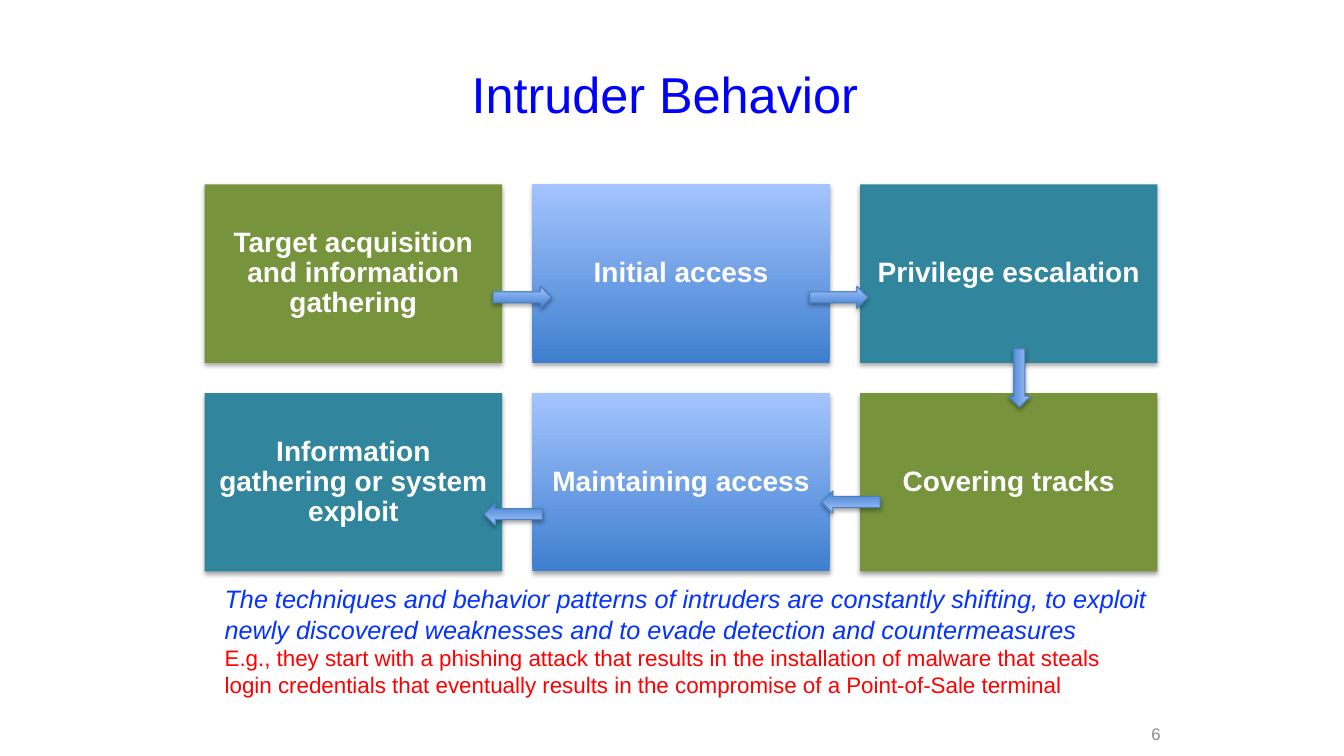
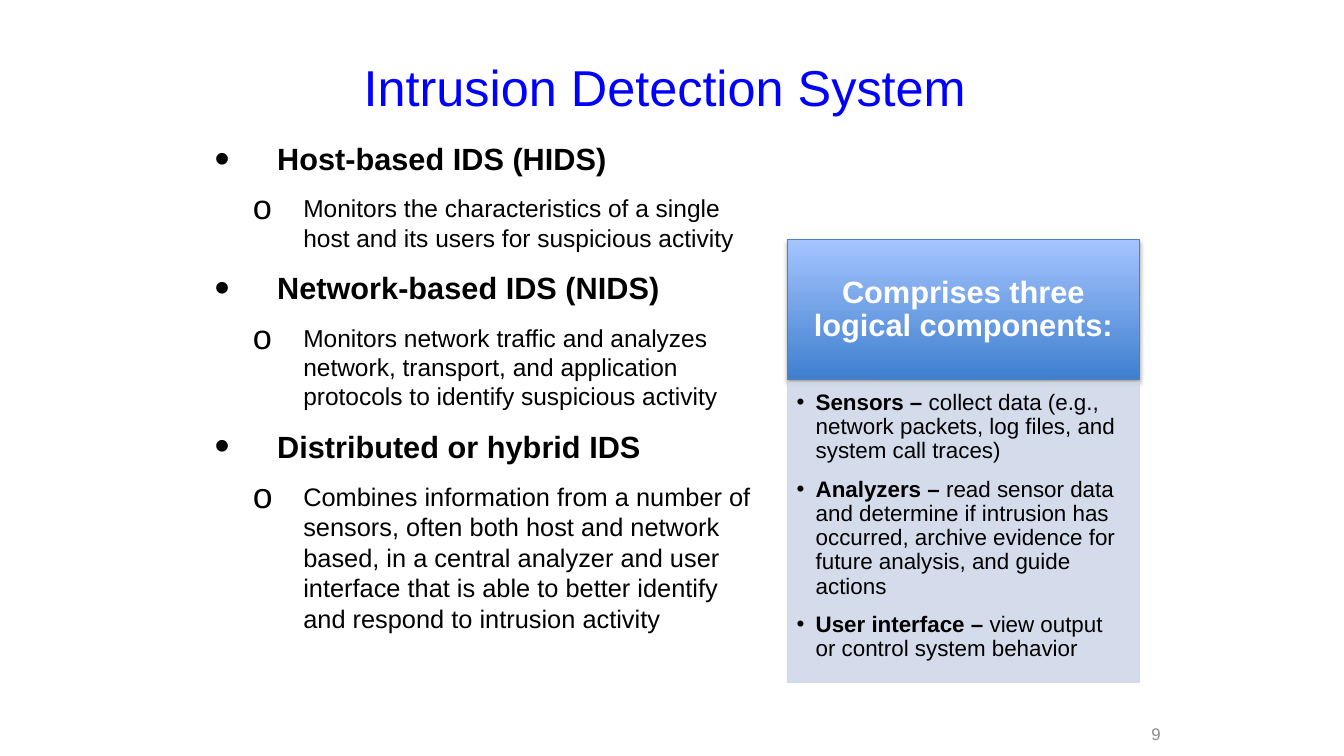
from dataclasses import dataclass

from lxml import etree
from pptx import Presentation
from pptx.dml.color import RGBColor
from pptx.enum.shapes import MSO_SHAPE
from pptx.enum.text import MSO_ANCHOR, PP_ALIGN
from pptx.oxml.ns import qn
from pptx.util import Inches, Pt

RECT, ARROW = MSO_SHAPE.RECTANGLE, MSO_SHAPE.RIGHT_ARROW
TOP, MIDDLE = MSO_ANCHOR.TOP, MSO_ANCHOR.MIDDLE
LEFT, CENTER, RIGHT = PP_ALIGN.LEFT, PP_ALIGN.CENTER, PP_ALIGN.RIGHT
TITLE_ONLY = 5


@dataclass(frozen=True)
class Theme:
    font: str = "Arial"
    title: str = "0000FF"
    note: str = "0432FF"
    example: str = "FF0000"
    text: str = "000000"
    on_fill: str = "FFFFFF"
    number: str = "8C8C8C"
    green: str = "77933C"
    teal: str = "31859C"
    panel: str = "D0D8E8"
    panel_line: str = "4F81BD"
    arrow_line: str = "4B7EBC"
    blend: tuple = ("3F7FCE", "A4C4FF")
    title_size: float = 36
    heading_size: float = 22
    topic_size: float = 21.9
    step_size: float = 20
    note_size: float = 18
    detail_size: float = 17.5
    last_detail_size: float = 18.1
    small_size: float = 16
    number_size: float = 12


THEME = Theme()


def apply(target, values):
    for name, value in values.items():
        setattr(target, name, value)


def add_xml(parent, tag, **attributes):
    return etree.SubElement(parent, qn(tag), attributes)


class Deck:
    def __init__(self, theme):
        self.theme = theme
        self.prs = Presentation()
        self.prs.slide_width, self.prs.slide_height = Inches(13.33), Inches(7.5)
        self.slide = None

    def start_slide(self, title, number, title_height):
        t = self.theme
        self.slide = self.prs.slides.add_slide(self.prs.slide_layouts[TITLE_ONLY])
        heading = self.slide.shapes.title
        apply(heading, {"left": Inches(2.03), "top": Inches(0.3),
                        "width": Inches(9.13), "height": Inches(title_height)})
        frame = self.frame(heading)
        self.paragraph(frame, [self.run(title, t.title_size, t.title)], alignment=CENTER)
        frame = self.text_box(10.93, 7.2, 0.68, 0.15, MIDDLE)
        self.paragraph(frame, [self.run(number, t.number_size, t.number)], alignment=RIGHT)

    def frame(self, shape, anchor=MIDDLE, margins=(0.1, 0.05, 0.1, 0.05)):
        """Prepare a shape's text frame; margins run left, top, right, bottom."""
        frame = shape.text_frame
        sides = ("margin_left", "margin_top", "margin_right", "margin_bottom")
        apply(frame, {"word_wrap": True, "vertical_anchor": anchor,
                      **dict(zip(sides, map(Inches, margins)))})
        return frame

    def text_box(self, left, top, width, height, anchor=TOP):
        box = self.slide.shapes.add_textbox(*map(Inches, (left, top, width, height)))
        return self.frame(box, anchor)

    def run(self, text, size, color, bold=False, italic=False):
        """Pair a text with its colour and font settings."""
        return text, color, {"name": self.theme.font, "size": Pt(size),
                             "bold": bold, "italic": italic}

    def paragraph(self, frame, runs, bullet=None, **layout):
        """Fill the empty first paragraph, or append another one."""
        first = frame.paragraphs[0]
        para = frame.add_paragraph() if first.runs else first
        apply(para, {"alignment": LEFT, "space_before": Pt(0),
                     "space_after": Pt(0), **layout})
        for text, color, font in runs:
            piece = para.add_run()
            piece.text = text
            apply(piece.font, font)
            piece.font.color.rgb = RGBColor.from_string(color)
        if bullet:
            self.bullet(para, *bullet)

    def bullet(self, para, char, indent, hanging, percent):
        props = para._p.get_or_add_pPr()
        props.set("marL", str(Inches(indent)))
        props.set("indent", str(-Inches(hanging)))
        add_xml(add_xml(props, "a:buClr"), "a:srgbClr", val=self.theme.text)
        add_xml(props, "a:buSzPct", val=str(percent * 1000))
        add_xml(props, "a:buFont", typeface=self.theme.font)
        add_xml(props, "a:buChar", char=char)

    def block(self, kind, at, fill, line=None, shadow=True):
        """Draw a preset shape; a tuple as fill blends from bottom to top."""
        shape = self.slide.shapes.add_shape(kind, *map(Inches, at))
        if isinstance(fill, tuple):
            shape.fill.gradient()
            shape.fill.gradient_angle = 90
            for stop, color in zip(shape.fill.gradient_stops, fill):
                stop.color.rgb = RGBColor.from_string(color)
        else:
            shape.fill.solid()
            shape.fill.fore_color.rgb = RGBColor.from_string(fill)
        if line:
            shape.line.color.rgb = RGBColor.from_string(line)
            shape.line.width = Pt(0.75)
        else:
            shape.line.fill.background()
        shape.shadow.inherit = False
        if shadow:
            effects = shape._element.spPr.find(qn("a:effectLst"))
            cast = add_xml(effects, "a:outerShdw", blurRad=str(Pt(3.1)),
                           dist=str(Pt(1.8)), dir="5400000", rotWithShape="0")
            shade = add_xml(cast, "a:srgbClr", val="000000")
            add_xml(shade, "a:alpha", val="35000")
        return shape

    def caption(self, shape, text, size, margins):
        """Write bold centred text on a filled shape."""
        frame = self.frame(shape, MIDDLE, margins)
        self.paragraph(frame, [self.run(text, size, self.theme.on_fill, bold=True)],
                       alignment=CENTER, line_spacing=0.9)

    def arrow(self, left, top, rotation):
        t = self.theme
        arrow = self.block(ARROW, (left, top, 0.58, 0.22), t.blend, t.arrow_line)
        arrow.rotation = rotation


def intruder_behavior(deck):
    t = deck.theme
    deck.start_slide("Intruder Behavior", "6", 1.25)
    step_rows = [
        [("Target acquisition and information gathering", t.green),
         ("Initial access", t.blend),
         ("Privilege escalation", t.teal)],
        [("Information gathering or system exploit", t.teal),
         ("Maintaining access", t.blend),
         ("Covering tracks", t.green)],
    ]
    for row, steps in enumerate(step_rows):
        for column, (step, fill) in enumerate(steps):
            at = (2.03 + 3.25 * column, 1.83 + 2.07 * row, 2.95, 1.77)
            deck.caption(deck.block(RECT, at, fill), step, t.step_size, (0.08,) * 4)

    note = deck.text_box(2.13, 5.74, 9.36, 1.25)
    deck.paragraph(note, [deck.run(
        "The techniques and behavior patterns of intruders are constantly shifting, "
        "to exploit newly discovered weaknesses and to evade detection and "
        "countermeasures", t.note_size, t.note, italic=True)])
    deck.paragraph(note, [deck.run(
        "E.g., they start with a phishing attack that results in the installation of "
        "malware that steals login credentials that eventually results in the "
        "compromise of a Point-of-Sale terminal", t.small_size, t.example)])

    for left, top, rotation in [(4.89, 2.84, 0), (8.03, 2.84, 0), (9.82, 3.64, 90),
                                (8.15, 4.87, 180), (4.8, 4.99, 180)]:
        deck.arrow(left, top, rotation)


def intrusion_detection(deck):
    t = deck.theme
    deck.start_slide("Intrusion Detection System", "9", 1.11)
    heading = deck.block(RECT, (7.81, 2.38, 3.49, 1.39), t.blend, t.panel_line)
    deck.caption(heading, "Comprises three logical components:", t.heading_size,
                 (0.17, 0.1, 0.17, 0.1))

    panel = deck.block(RECT, (7.81, 3.79, 3.49, 2.98), t.panel, t.panel, shadow=False)
    for color in panel._element.spPr.iter(qn("a:srgbClr")):
        add_xml(color, "a:alpha", val="90000")
    components = deck.frame(panel, TOP, (0.09, 0.09, 0.12, 0.14))
    for name, role in [
        ("Sensors – ", "collect data (e.g., network packets, log files, and system "
                       "call traces)"),
        ("Analyzers – ", "read sensor data and determine if intrusion has occurred, "
                         "archive evidence for future analysis, and guide actions"),
        ("User interface – ", "view output or control system behavior"),
    ]:
        deck.paragraph(components, [deck.run(name, t.small_size, t.text, bold=True),
                                    deck.run(role, t.small_size, t.text)],
                       bullet=("•", 0.19, 0.19, 100),
                       line_spacing=0.9, space_after=Pt(10.3))

    types = deck.text_box(2.03, 1.3, 5.6, 5.07, MIDDLE)
    for topic, detail, size in [
        ("Host-based IDS (HIDS)",
         "Monitors the characteristics of a single host and its users for suspicious "
         "activity", t.detail_size),
        ("Network-based IDS (NIDS)",
         "Monitors network traffic and analyzes network, transport, and application "
         "protocols to identify suspicious activity", t.detail_size),
        ("Distributed or hybrid IDS",
         "Combines information from a number of sensors, often both host and network "
         "based, in a central analyzer and user interface that is able to better "
         "identify and respond to intrusion activity", t.last_detail_size),
    ]:
        deck.paragraph(types, [deck.run(topic, t.topic_size, t.text, bold=True)],
                       bullet=("•", 0.62, 0.62, 140), space_before=Pt(12))
        deck.paragraph(types, [deck.run(detail, size, t.text)],
                       bullet=("o", 0.88, 0.5, 140), space_before=Pt(12))


def main():
    deck = Deck(THEME)
    intruder_behavior(deck)
    intrusion_detection(deck)
    deck.prs.save("out.pptx")


if __name__ == "__main__":
    main()
